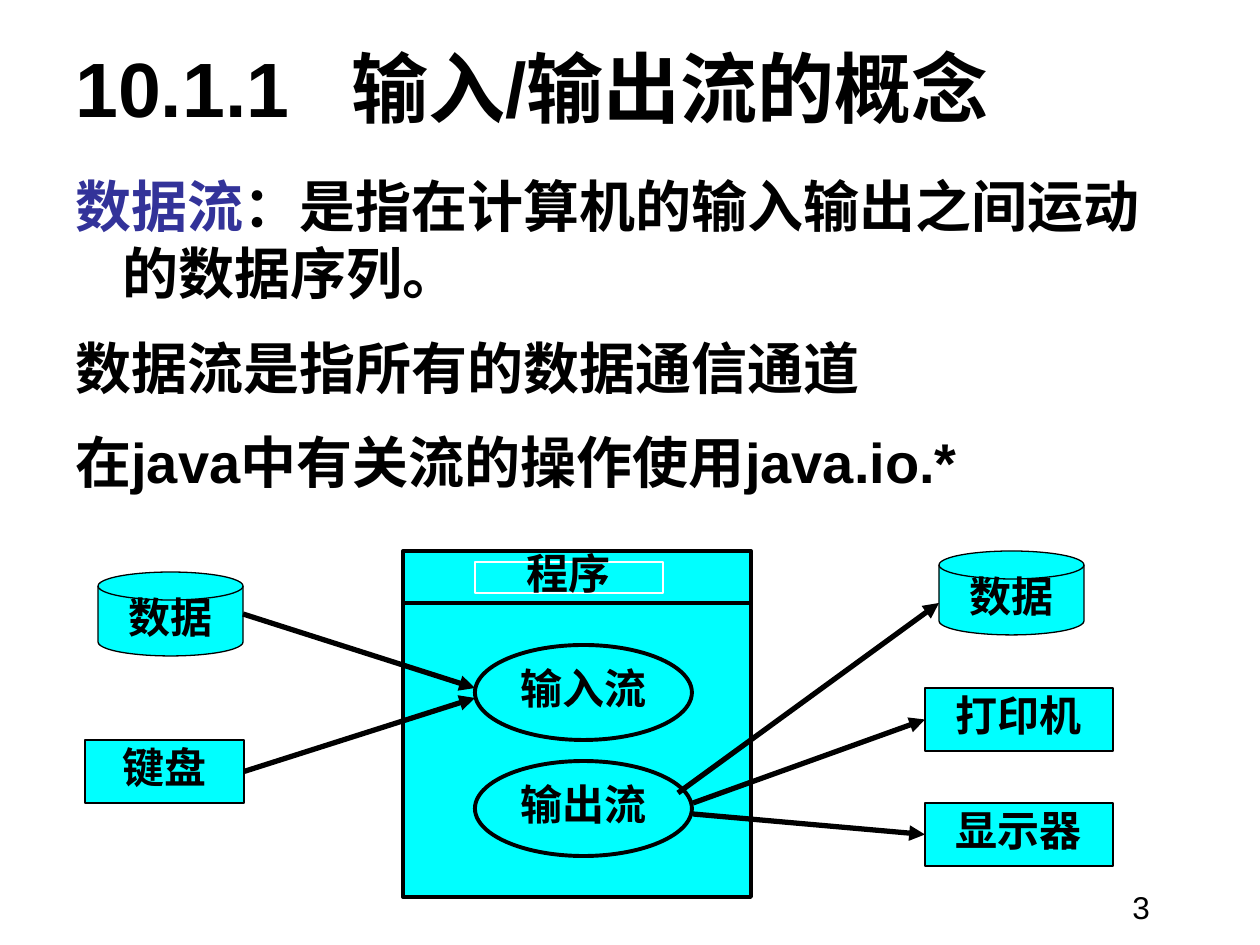
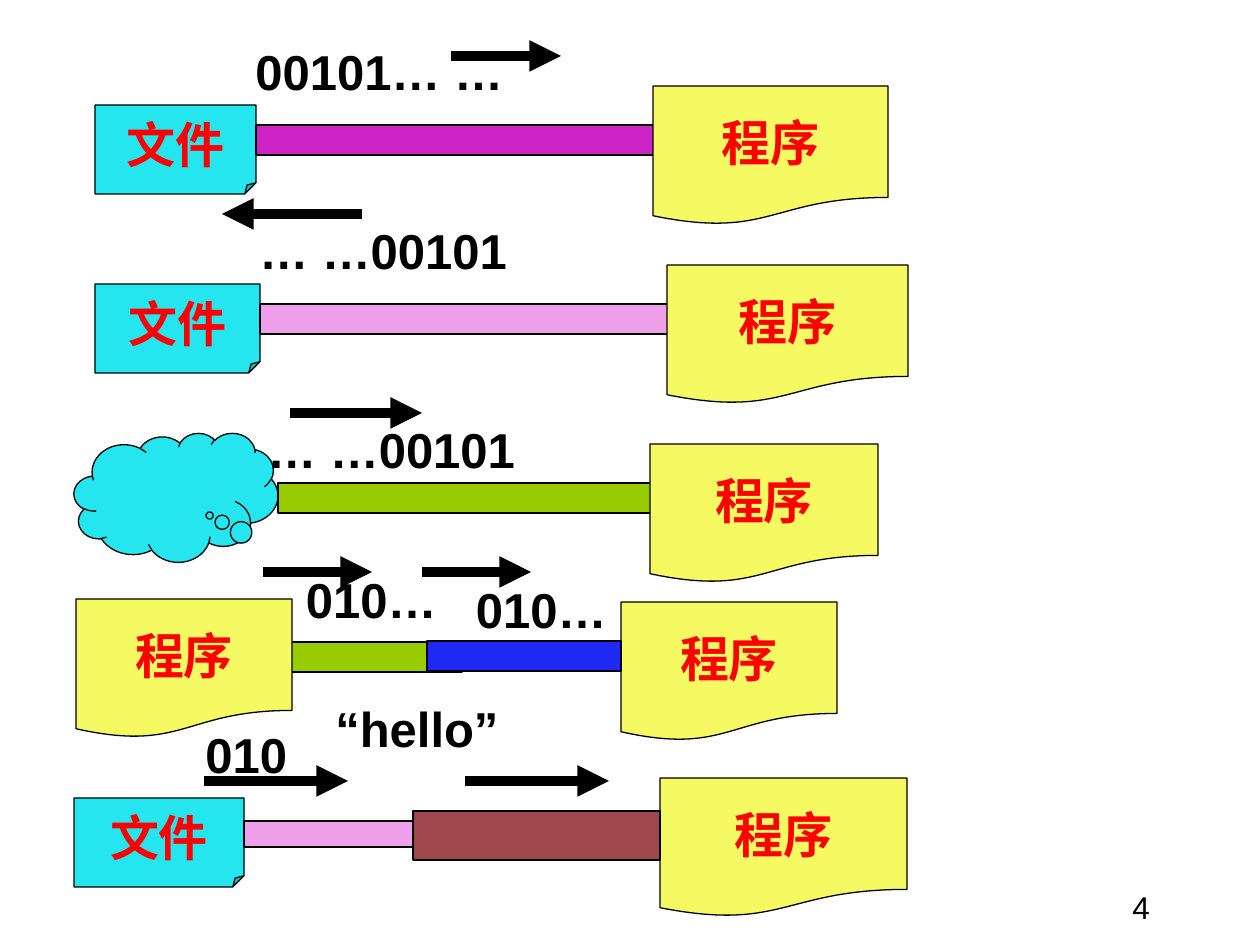
from lxml import etree
from pptx import Presentation
from pptx.dml.color import RGBColor
from pptx.enum.shapes import MSO_CONNECTOR as Connector, MSO_SHAPE as Shape
from pptx.enum.text import MSO_ANCHOR as Anchor, PP_ALIGN as Align
from pptx.oxml.ns import qn
from pptx.util import Emu, Pt

EMU_PER_PX = 914400 / 126
FONT = "Arial"
COLORS = {
    "black": "000000", "white": "FFFFFF", "term": "333399", "node": "00FFFF",
    "red": "FF0000", "file": "25E5EF", "program": "F6FA62",
    "magenta": "CE24C6", "pink": "EEA0EA", "green": "99CC00",
    "blue": "1F29F5", "brown": "9E484E",
}
TOP, LEFT, BOTTOM, RIGHT = range(4)
ROW_TOP, ROW_PITCH = 86, 179


def px(length):
    return Emu(round(length * EMU_PER_PX))


def rgb(name):
    return RGBColor.from_string(COLORS[name])


def set_font(font, size, color="black", bold=True):
    font.name, font.size, font.bold = FONT, Pt(size), bold
    font.color.rgb = rgb(color)


def add_text(page, text, left, top, width, height, size=28, bold=True):
    box = page.shapes.add_textbox(px(left), px(top), px(width), px(height))
    box.text_frame.word_wrap = True
    para = box.text_frame.paragraphs[0]
    para.text = text
    set_font(para.font, size, bold=bold)
    return box


def add_page(deck, number):
    page = deck.slides.add_slide(deck.slide_layouts[6])
    add_text(page, str(number), 1120, 882, 130, 50, size=18, bold=False)
    return page


def add_block(page, kind, bounds, fill, line="black", weight=0.75):
    block = page.shapes.add_shape(kind, *map(px, bounds))
    block.shadow.inherit = False
    block.fill.solid()
    block.fill.fore_color.rgb = rgb(fill)
    block.line.color.rgb = rgb(line)
    block.line.width = Pt(weight)
    return block


def set_guides(block, **guides):
    """Write the adjust values of a preset shape, in 1/100000."""
    values = block._element.spPr.find(qn("a:prstGeom")).find(qn("a:avLst"))
    for guide in list(values):
        values.remove(guide)
    for name, value in guides.items():
        etree.SubElement(values, qn("a:gd"), name=name, fmla=f"val {value}")


def add_caption(block, text, size, color):
    frame = block.text_frame
    frame.word_wrap = False
    frame.vertical_anchor = Anchor.MIDDLE
    para = frame.paragraphs[0]
    para.text = text
    para.alignment = Align.CENTER
    set_font(para.font, size, color)
    return para


def add_line(page, start, end, weight, arrow=True):
    line = page.shapes.add_connector(Connector.STRAIGHT, *map(px, start + end))
    line.line.color.rgb = rgb("black")
    line.line.width = Pt(weight)
    if arrow:
        etree.SubElement(line.line._get_or_add_ln(), qn("a:tailEnd"), type="triangle")
    etree.SubElement(line._element.spPr, qn("a:effectLst"))
    return line


def add_node(page, kind, text, bounds, **outline):
    node = add_block(page, kind, bounds, "node", **outline)
    para = add_caption(node, text, 24, "black")
    para.line_spacing = 0.8
    para.space_before = Pt(6)
    return node


def add_title(page, number, text):
    """Write the section number and, at a tab stop, its heading."""
    box = add_text(page, f"{number}\t{text}", 63, 38, 1033, 97, size=44)
    box.text_frame.vertical_anchor = Anchor.MIDDLE
    properties = box.text_frame.paragraphs[0]._p.get_or_add_pPr()
    tabs = etree.Element(qn("a:tabLst"))
    etree.SubElement(tabs, qn("a:tab"), pos=str(px(276)), algn="l")
    properties.insert(0, tabs)


def add_body(page, paragraphs):
    """Each paragraph is a list of (text, color) with a hanging indent."""
    box = page.shapes.add_textbox(px(63), px(165), px(1134), px(704))
    frame = box.text_frame
    frame.word_wrap = True
    for index, spans in enumerate(paragraphs):
        para = frame.add_paragraph() if index else frame.paragraphs[0]
        properties = para._p.get_or_add_pPr()
        properties.set("marL", str(px(47)))
        properties.set("indent", str(px(-47)))
        para.space_before = Pt(8)
        if index:
            para.line_spacing = 1.2
        for text, color in spans:
            span = para.add_run()
            span.text = text
            set_font(span.font, 32, color)


def add_program(page, left, top, width):
    block = add_block(page, Shape.FLOWCHART_DOCUMENT, (left, top, width, 139), "program")
    add_caption(block, "程序", 28, "red")


def add_file(page, left, top, width):
    block = add_block(page, Shape.FOLDED_CORNER, (left, top, width, 89), "file")
    set_guides(block, adj=12500)
    add_caption(block, "文件", 28, "red")


def add_pipe(page, left, top, width, color, height=30):
    add_block(page, Shape.RECTANGLE, (left, top, width, height), color)


def add_flow_arrow(page, start, end, y):
    add_line(page, (start, y), (end, y), 6)


def build_concept(page):
    add_title(page, "10.1.1", "输入/输出流的概念")
    add_body(page, [
        [("数据流", "term"), ("：是指在计算机的输入输出之间运动的数据序列。", "black")],
        [("数据流是指所有的数据通信通道", "black")],
        [("在java中有关流的操作使用java.io.*", "black")],
    ])

    add_block(page, Shape.RECTANGLE, (403, 551, 348, 346), "node", weight=2.25)
    add_line(page, (403, 603), (751, 603), 2.25, arrow=False)
    add_node(page, Shape.RECTANGLE, "程序", (475, 562, 188, 31), line="white")
    for text, top in (("输入流", 645), ("输出流", 761)):
        add_node(page, Shape.OVAL, text, (475, top, 217, 95), weight=2.25)
    for left, top in ((98, 572), (939, 551)):
        add_node(page, Shape.FLOWCHART_MAGNETIC_DISK, "数据", (left, top, 145, 84))
    keyboard = add_node(page, Shape.RECTANGLE, "键盘", (85, 740, 159, 63))
    monitor = add_node(page, Shape.RECTANGLE, "显示器", (925, 803, 188, 63))
    printer = add_node(page, Shape.RECTANGLE, "打印机", (925, 688, 188, 63))

    add_line(page, (243, 614), (475, 688), 3)
    add_line(page, (244, 771), (475, 698), 3).begin_connect(keyboard, RIGHT)
    add_line(page, (678, 793), (939, 603), 3)
    add_line(page, (693, 814), (925, 834), 3).end_connect(monitor, LEFT)
    add_line(page, (693, 803), (925, 719), 3).end_connect(printer, LEFT)


def build_streams(page):
    file_rows = [
        (161, 409, "magenta", 653, 235, "00101… …", 243),
        (165, 420, "pink", 667, 241, "… …00101", 247),
    ]
    for index, row in enumerate(file_rows):
        file_width, pipe_width, color, left, width, bits, bits_left = row
        top = ROW_TOP + index * ROW_PITCH
        add_file(page, 95, top + 19, file_width)
        add_pipe(page, 95 + file_width, top + 39, pipe_width, color)
        add_program(page, left, top, width)
        add_text(page, bits, bits_left, top - 51, 440, 72)
    add_flow_arrow(page, 451, 561, 56)
    add_flow_arrow(page, 362, 222, 214)

    top = ROW_TOP + 2 * ROW_PITCH
    cloud = add_block(page, Shape.CLOUD_CALLOUT, (74, 433, 204, 129), "file")
    set_guides(cloud, adj1=16500, adj2=14000)
    add_pipe(page, 278, top + 39, 395, "green")
    add_program(page, 650, top, 228)
    add_text(page, "… …00101", 255, 413, 420, 72)
    add_flow_arrow(page, 290, 422, 413)

    add_flow_arrow(page, 263, 372, 572)
    add_pipe(page, 268, 642, 194, "green")
    add_program(page, 621, 602, 216)
    add_text(page, " 010…", 280, 563, 398, 72)
    add_program(page, 76, 599, 216)
    add_text(page, " 010…", 450, 573, 398, 72)
    add_pipe(page, 427, 641, 194, "blue")
    add_flow_arrow(page, 422, 531, 572)

    add_text(page, "010", 193, 718, 348, 72)
    add_text(page, "“hello”", 323, 692, 348, 72)
    add_file(page, 74, 798, 170)
    add_pipe(page, 244, 821, 169, "pink", height=26)
    add_program(page, 660, 778, 247)
    add_pipe(page, 413, 811, 247, "brown", height=49)
    for start in (204, 465):
        add_flow_arrow(page, start, start + 144, 781)


def main():
    deck = Presentation()
    deck.slide_width, deck.slide_height = px(1260), px(945)
    for number, build in enumerate((build_concept, build_streams), start=3):
        build(add_page(deck, number))
    deck.save("out.pptx")


if __name__ == "__main__":
    main()
